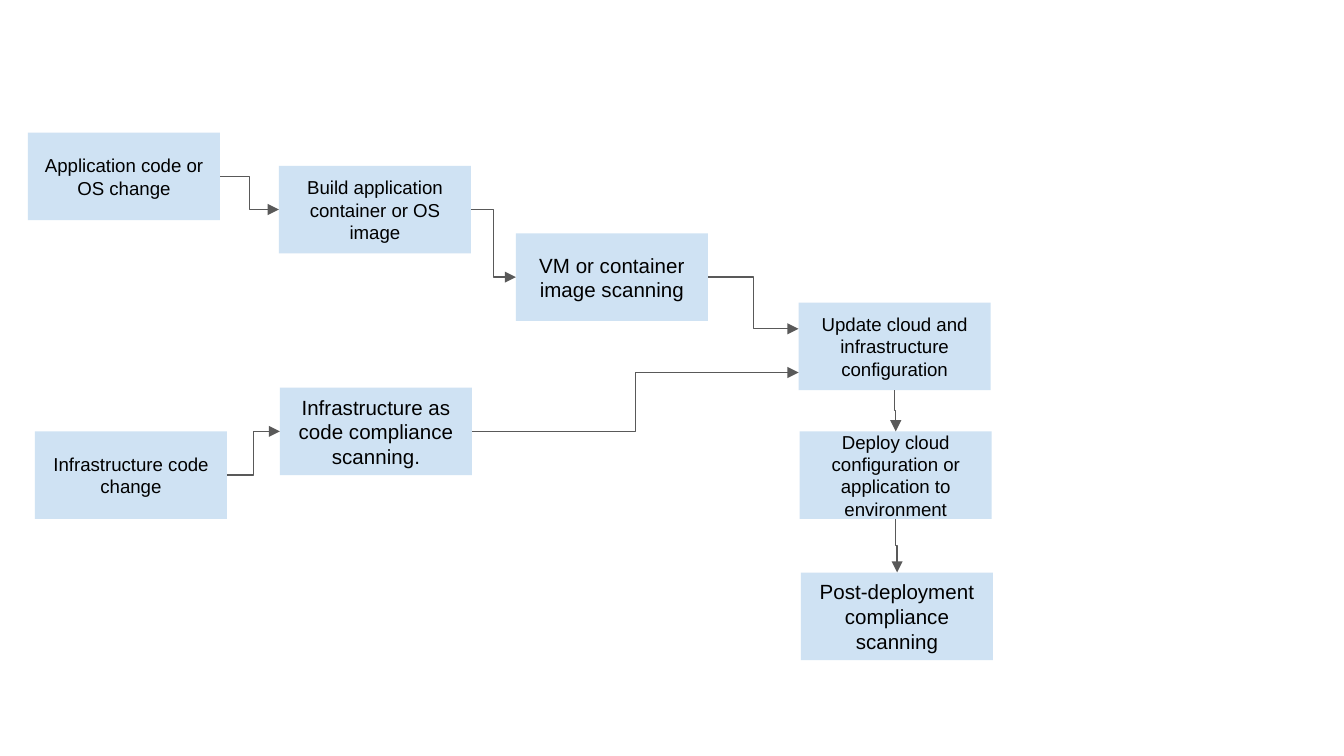
import lxml.etree
import pptx
import pptx.dml.color
import pptx.enum.shapes
import pptx.enum.text
import pptx.oxml.ns
import pptx.util

Pt = pptx.util.Pt
PALE_BLUE = pptx.dml.color.RGBColor(0xCF, 0xE2, 0xF3)
GREY = pptx.dml.color.RGBColor(0x59, 0x59, 0x59)
BLACK = pptx.dml.color.RGBColor(0, 0, 0)

STEPS = {
    "build": (149.4, 88.8, 10, "Build application container or OS image"),
    "deploy": (428.4, 231.1, 10, "Deploy cloud configuration or application to environment"),
    "update": (427.8, 162.1, 10, "Update cloud and infrastructure configuration"),
    "app change": (15, 71.1, 10, "Application code or OS change"),
    "infra change": (18.7, 231.1, 10, "Infrastructure code change"),
    "post-deploy": (429.1, 306.7, 11, "Post-deployment compliance scanning"),
    "image scan": (276.4, 125, 11, "VM or container image scanning"),
    "code scan": (150, 207.7, 11, "Infrastructure as code compliance scanning."),
}
ACROSS = [
    ("app change", "build", 0.5),
    ("infra change", "code scan", 0.5),
    ("build", "image scan", 0.5),
    ("image scan", "update", 0.3),
    ("code scan", "update", 0.8),
]
DOWN = [("update", "deploy"), ("deploy", "post-deploy")]


class FlowPage:
    font = "Arial"
    width, height = 102.9, 46.9
    inset = 7.2
    line_width = 0.75

    def __init__(self, deck):
        self.page = deck.slides.add_slide(deck.slide_layouts[6])

    def step(self, left, top, size, text):
        box = self.page.shapes.add_shape(
            pptx.enum.shapes.MSO_SHAPE.RECTANGLE,
            Pt(left), Pt(top), Pt(self.width), Pt(self.height))
        box.shadow.inherit = False
        box.fill.solid()
        box.fill.fore_color.rgb = PALE_BLUE
        box.line.fill.background()
        frame = box.text_frame
        frame.word_wrap = True
        frame.vertical_anchor = pptx.enum.text.MSO_ANCHOR.MIDDLE
        frame.margin_left = frame.margin_right = Pt(self.inset)
        frame.margin_top = frame.margin_bottom = Pt(self.inset)
        para = frame.paragraphs[0]
        para.alignment = pptx.enum.text.PP_ALIGN.CENTER
        span = para.add_run()
        span.text = text
        span.font.name = self.font
        span.font.size = Pt(size)
        span.font.color.rgb = BLACK

    def elbow(self, start_x, start_y, end_x, end_y):
        arrow = self.page.shapes.add_connector(
            pptx.enum.shapes.MSO_CONNECTOR.ELBOW,
            Pt(start_x), Pt(start_y), Pt(end_x), Pt(end_y))
        arrow.line.color.rgb = GREY
        arrow.line.width = Pt(self.line_width)
        tag = pptx.oxml.ns.qn
        lxml.etree.SubElement(arrow.line._get_or_add_ln(), tag("a:tailEnd"), type="triangle")
        lxml.etree.SubElement(arrow._element.spPr, tag("a:effectLst"))
        return arrow

    def arrow_across(self, source, target, entry):
        self.elbow(source[0] + self.width, source[1] + self.height / 2,
                   target[0], target[1] + self.height * entry)

    def arrow_down(self, source, target):
        shift = target[0] - source[0]
        gap = target[1] - source[1] - self.height
        middle_x = source[0] + (self.width + shift) / 2
        middle_y = source[1] + self.height + gap / 2
        arrow = self.elbow(middle_x + gap / 2, middle_y - shift / 2,
                           middle_x - gap / 2, middle_y + shift / 2)
        arrow._element.spPr.get_or_add_xfrm().set("rot", str(270 * 60000))


def main():
    deck = pptx.Presentation()
    deck.slide_width, deck.slide_height = Pt(720), Pt(405)
    flow = FlowPage(deck)
    for step in STEPS.values():
        flow.step(*step)
    for source, target, entry in ACROSS:
        flow.arrow_across(STEPS[source], STEPS[target], entry)
    for source, target in DOWN:
        flow.arrow_down(STEPS[source], STEPS[target])
    deck.save("out.pptx")


if __name__ == "__main__":
    main()
